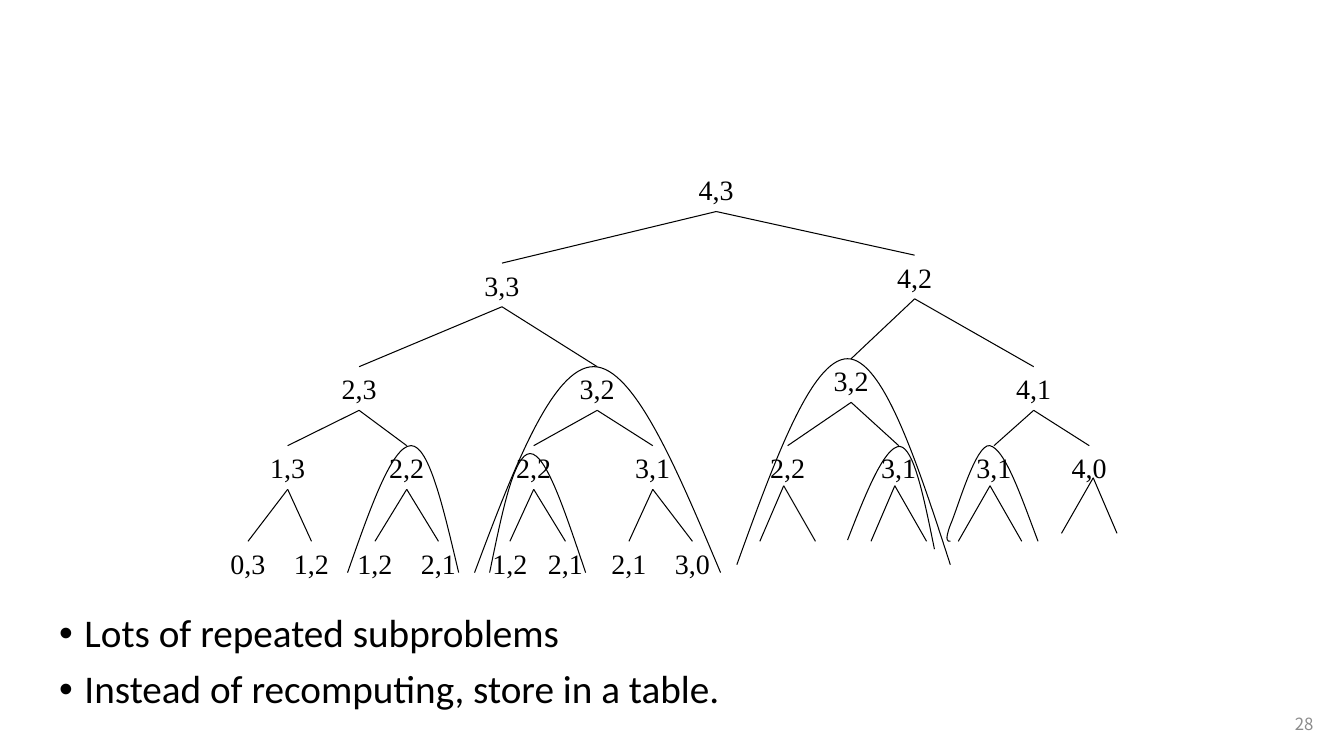
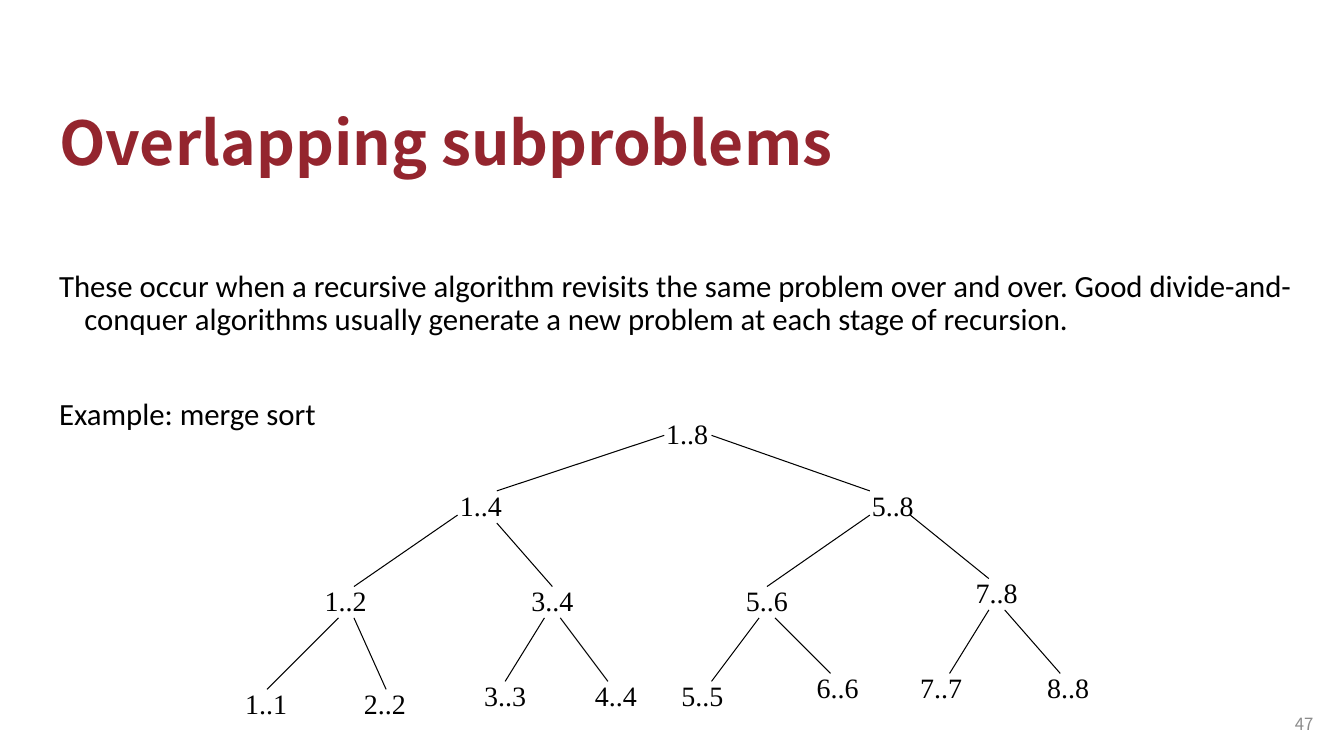
from collections.abc import Iterator
from dataclasses import dataclass
from typing import NamedTuple

from pptx import Presentation
from pptx.dml.color import RGBColor
from pptx.enum.shapes import MSO_CONNECTOR as Connector
from pptx.enum.text import MSO_ANCHOR as Anchor, PP_ALIGN as Align
from pptx.oxml.ns import qn
from pptx.oxml.xmlchemy import OxmlElement
from pptx.slide import Slide
from pptx.text.text import TextFrame
from pptx.util import Cm, Pt


# Theme
@dataclass(frozen=True)
class Theme:
    ink: RGBColor = RGBColor(0x00, 0x00, 0x00)
    title: RGBColor = RGBColor(0x94, 0x25, 0x2E)
    number: RGBColor = RGBColor(0x8C, 0x8C, 0x8C)
    heading_font: str = "Noto Sans CJK SC"
    body_font: str = "Calibri"
    bullet_font: str = "Arial"
    tree_font: str = "Times New Roman"
    title_size: float = 43.2
    bullet_size: float = 28
    body_size: float = 22
    label_size: float = 20
    number_size: float = 12
    line_width: float = 0.75


THEME = Theme()
LABEL_WIDTH, LABEL_HEIGHT = 1.8, 1.1
FORK_DROP = 1.4


# Tree parts, measured in centimetres
class Box(NamedTuple):
    left: float
    top: float
    width: float
    height: float


class Node(NamedTuple):
    """A label: x is its centre, y its top."""
    label: str
    x: float
    y: float
    children: tuple["Node", ...] = ()


class Edge(NamedTuple):
    x1: float
    y1: float
    x2: float
    y2: float


class Fork(NamedTuple):
    """Two branches without labels below an apex."""
    x: float
    y: float
    left: float
    right: float


class Arch(NamedTuple):
    """Bezier points of the outline around a repeated subtree."""
    xs: tuple[float, ...]
    ys: tuple[float, ...]


def even_heights(top: float, bottom: float) -> tuple[float, ...]:
    middle = round((top + bottom) / 2, 2)
    return bottom, middle, top, top, top, middle, bottom


# Content: recursion tree with repeated subproblems
ROW_3, ROW_4, ROW_5 = 9.24, 11.23, 13.64
RECURSION_TREE = Node("4,3", 18.05, 4.23, (
    Node("3,3", 12.65, 6.63, (
        Node("2,3", 9.05, ROW_3, (
            Node("1,3", 7.25, ROW_4, (
                Node("0,3", 6.25, ROW_5), Node("1,2", 7.85, ROW_5))),
            Node("2,2", 10.25, ROW_4, (
                Node("1,2", 9.45, ROW_5), Node("2,1", 11.05, ROW_5))),
        )),
        Node("3,2", 15.05, ROW_3, (
            Node("2,2", 13.45, ROW_4, (
                Node("1,2", 12.85, ROW_5), Node("2,1", 14.25, ROW_5))),
            Node("3,1", 16.45, ROW_4, (
                Node("2,1", 15.85, ROW_5), Node("3,0", 17.45, ROW_5))),
        )),
    )),
    Node("4,2", 23.05, 6.43, (
        Node("3,2", 21.45, 9.04, (
            Node("2,2", 19.85, ROW_4), Node("3,1", 22.65, ROW_4))),
        Node("4,1", 26.05, ROW_3, (
            Node("3,1", 25.05, ROW_4), Node("4,0", 27.45, ROW_4))),
    )),
))
OPEN_FORKS = (
    Fork(19.75, 12.24, 0.6, 0.8),
    Fork(22.55, 12.24, 0.6, 0.8),
    Fork(24.95, 12.24, 0.8, 0.8),
    Fork(27.55, 12.04, 0.8, 0.6),
)
REPEATED_SUBTREES = (
    Arch((8.76, 9.32, 9.88, 10.36, 10.82, 11.18, 11.56),
         even_heights(11.23, 14.43)),
    Arch((12.34, 12.65, 12.95, 13.36, 13.77, 14.25, 14.76),
         even_heights(11.43, 14.43)),
    Arch((11.96, 12.93, 13.92, 14.96, 15.98, 17.07, 18.16),
         even_heights(9.24, 14.43)),
    Arch((18.57, 19.51, 20.45, 21.36, 22.25, 23.11, 23.95),
         even_heights(9.04, 14.23)),
    Arch((21.36, 21.82, 22.3, 22.68, 23.04, 23.29, 23.55),
         (13.61, 12.42, 11.23, 11.25, 11.3, 12.57, 13.84)),
    Arch((23.95, 23.88, 23.8, 23.95, 24.13, 24.59, 24.94, 25.32, 25.72, 26.16),
         (13.64, 13.64, 13.64, 13.23, 12.83, 11.18, 11.23, 11.3, 12.47, 13.64)),
)
REMARKS = ("Lots of repeated subproblems",
           "Instead of recomputing, store in a table.")

# Content: merge sort
MERGE_RANGES = (
    Node("1..8", 17.32, 10.36),
    Node("1..4", 12.12, 12.18), Node("5..8", 22.5, 12.18),
    Node("1..2", 8.71, 14.58), Node("3..4", 13.92, 14.58),
    Node("5..6", 19.33, 14.58), Node("7..8", 25.12, 14.38),
    Node("1..1", 6.71, 17.17), Node("2..2", 9.7, 17.17),
    Node("3..3", 12.73, 16.97), Node("4..4", 15.52, 16.97),
    Node("5..5", 17.7, 16.97), Node("6..6", 21.11, 16.76),
    Node("7..7", 23.72, 16.76), Node("8..8", 26.92, 16.76),
)
MERGE_EDGES = (
    Edge(16.74, 10.97, 12.52, 12.37), Edge(17.93, 10.97, 21.92, 12.37),
    Edge(11.53, 12.98, 8.92, 14.78), Edge(12.52, 13.18, 13.92, 14.78),
    Edge(21.92, 12.98, 19.33, 14.78), Edge(22.94, 12.98, 24.92, 14.58),
    Edge(8.53, 15.57, 6.73, 17.37), Edge(8.92, 15.57, 9.73, 17.37),
    Edge(13.72, 15.57, 12.73, 17.17), Edge(14.12, 15.57, 15.32, 17.17),
    Edge(19.13, 15.57, 17.93, 17.17), Edge(19.53, 15.57, 20.93, 16.97),
    Edge(24.92, 15.37, 23.93, 16.97), Edge(25.32, 15.37, 26.72, 16.97),
)
EXPLANATION = (
    "These occur when a recursive algorithm revisits the same problem over "
    "and over. Good divide-and-conquer algorithms usually generate a new "
    "problem at each stage of recursion.",
    "Example: merge sort",
)


# Text
def add_text(slide: Slide, box: Box, lines: tuple[str, ...], font: str,
             size: float, color: RGBColor, bold: bool = False,
             wrap: bool = True) -> TextFrame:
    frame = slide.shapes.add_textbox(*map(Cm, box)).text_frame
    frame.word_wrap = wrap
    frame.text = "\n".join(lines)
    for paragraph in frame.paragraphs:
        for run in paragraph.runs:
            run.font.name, run.font.size = font, Pt(size)
            run.font.bold, run.font.color.rgb = bold, color
    return frame


def add_title(slide: Slide, title: str) -> None:
    frame = add_text(slide, Box(1.24, 2.22, 21.41, 2.41), (title,),
                     THEME.heading_font, THEME.title_size, THEME.title, True)
    frame.vertical_anchor = Anchor.BOTTOM
    frame.paragraphs[0].line_spacing = 0.9


def add_body(slide: Slide, top: float, height: float, lines: tuple[str, ...],
             size: float, gap: float, bullet: str = "") -> None:
    frame = add_text(slide, Box(1.24, top, 32.13, height), lines,
                     THEME.body_font, size, THEME.ink)
    indent = Cm(0.64)
    for paragraph in frame.paragraphs:
        paragraph.line_spacing = 0.9
        paragraph.space_before = Pt(gap)
        properties = paragraph._p.get_or_add_pPr()
        properties.set("marL", str(indent))
        properties.set("indent", str(-indent))
        if bullet:
            typeface, mark = OxmlElement("a:buFont"), OxmlElement("a:buChar")
            typeface.set("typeface", THEME.bullet_font)
            mark.set("char", bullet)
            properties.extend((typeface, mark))
    frame.paragraphs[0].space_before = Pt(0)


def add_number(slide: Slide, number: int) -> None:
    frame = add_text(slide, Box(31.83, 17.73, 1.52, 1.02), (str(number),),
                     THEME.heading_font, THEME.number_size, THEME.number)
    frame.vertical_anchor = Anchor.MIDDLE
    frame.paragraphs[0].alignment = Align.RIGHT


# Tree drawing
def add_label(slide: Slide, node: Node) -> None:
    box = Box(node.x - LABEL_WIDTH / 2, node.y, LABEL_WIDTH, LABEL_HEIGHT)
    frame = add_text(slide, box, (node.label,), THEME.tree_font,
                     THEME.label_size, THEME.ink, wrap=False)
    frame.paragraphs[0].alignment = Align.CENTER


def add_edge(slide: Slide, edge: Edge) -> None:
    branch = slide.shapes.add_connector(Connector.STRAIGHT, *map(Cm, edge))
    branch.line.color.rgb = THEME.ink
    branch.line.width = Pt(THEME.line_width)
    branch._element.spPr.append(OxmlElement("a:effectLst"))


def add_fork(slide: Slide, fork: Fork) -> None:
    for shift in (-fork.left, fork.right):
        add_edge(slide, Edge(fork.x, fork.y, fork.x + shift, fork.y + FORK_DROP))


def add_arch(slide: Slide, arch: Arch) -> None:
    start, *rest = [(Cm(x), Cm(y)) for x, y in zip(arch.xs, arch.ys)]
    builder = slide.shapes.build_freeform(*start)
    builder.add_line_segments(rest, close=False)
    outline = builder.convert_to_shape()
    outline.shadow.inherit = False
    outline.fill.background()
    outline.line.color.rgb = THEME.ink
    outline.line.width = Pt(THEME.line_width)
    # Every three segments become one Bezier curve
    segments = list(outline._element.iter(qn("a:lnTo")))
    for curve, *others in zip(segments[::3], segments[1::3], segments[2::3]):
        curve.tag = qn("a:cubicBezTo")
        for segment in others:
            curve.append(segment[0])
            segment.getparent().remove(segment)


def walk(node: Node) -> Iterator[Node]:
    yield node
    for child in node.children:
        yield from walk(child)


# Slides
def build_recursion_slide(slide: Slide) -> None:
    add_body(slide, 15.34, 3.05, REMARKS, THEME.bullet_size, 10, "•")
    for node in walk(RECURSION_TREE):
        add_label(slide, node)
        for child in node.children:
            add_edge(slide, Edge(node.x, node.y + LABEL_HEIGHT, child.x, child.y))
    for fork in OPEN_FORKS:
        add_fork(slide, fork)
    for arch in REPEATED_SUBTREES:
        add_arch(slide, arch)


def build_merge_sort_slide(slide: Slide) -> None:
    add_title(slide, "Overlapping subproblems")
    add_body(slide, 6.69, 9.35, EXPLANATION, THEME.body_size, 44)
    for node in MERGE_RANGES:
        add_label(slide, node)
    for edge in MERGE_EDGES:
        add_edge(slide, edge)


def main() -> None:
    deck = Presentation()
    deck.slide_width, deck.slide_height = Cm(33.87), Cm(19.05)
    blank = deck.slide_layouts[6]
    for number, build in ((28, build_recursion_slide), (47, build_merge_sort_slide)):
        slide = deck.slides.add_slide(blank)
        add_number(slide, number)
        build(slide)
    deck.save("out.pptx")


if __name__ == "__main__":
    main()
